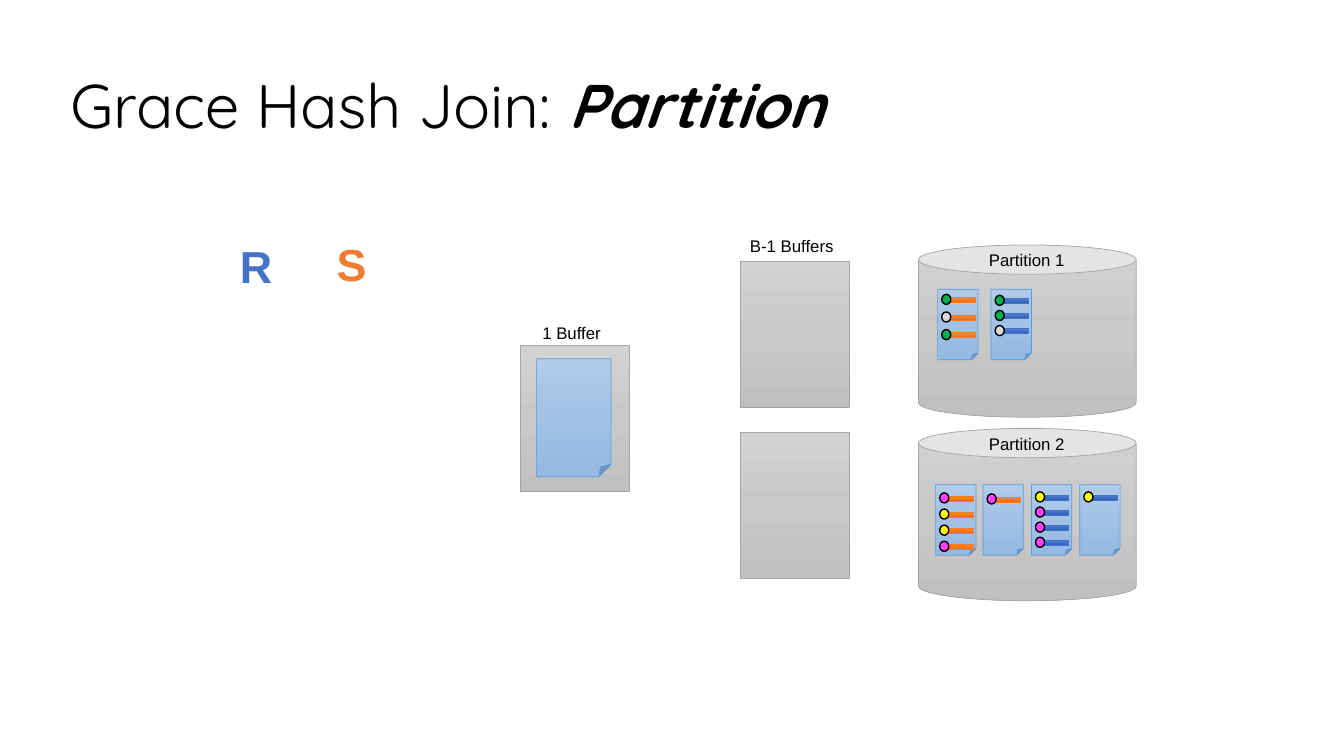
from copy import deepcopy
from dataclasses import dataclass
from typing import Any

from pptx import Presentation, util as u
from pptx.dml import color as dml
from pptx.enum import shapes, text
from pptx.oxml import ns


@dataclass(frozen=True)
class Style:
    stops: tuple[str, str, str]
    line: str


@dataclass(frozen=True)
class Page:
    left: float
    top: float
    first_key: float
    step: float
    relation: Style
    keys: tuple[str, ...]


@dataclass(frozen=True)
class Label:
    wording: str
    left: float
    top: float
    width: float
    height: float = 0.3
    size: int = 12
    color: str = "000000"
    bold: bool = False


GRAY = Style(("D2D2D2", "C8C8C8", "C0C0C0"), "A5A5A5")
PAPER = Style(("B1CBE9", "A3C1E5", "93B9E4"), "5B9BD5")
R = Style(("6183CB", "3E70CA", "3062BB"), "4472C4")
S = Style(("F18C57", "F67B28", "E56C19"), "ED7D31")
MAGENTA, YELLOW, GREEN, SILVER = "FF40FF", "FFFF00", "00B050", "D9D9D9"

BUFFER_SIZE = (1.08, 1.45)
PARTITION_LEFT = 9.11
PARTITION_TOPS = (2.43, 4.25)

PAGES = (
    Page(9.28, 4.81, 4.89, 0.16, S, (MAGENTA, YELLOW, YELLOW, MAGENTA)),
    Page(9.3, 2.87, 2.92, 0.175, S, (GREEN, SILVER, GREEN)),
    Page(9.75, 4.81, 4.9, 0.16, S, (MAGENTA,)),
    Page(10.23, 4.81, 4.88, 0.15, R, (YELLOW, MAGENTA, MAGENTA, MAGENTA)),
    Page(10.71, 4.81, 4.88, 0.15, R, (YELLOW,)),
    Page(9.83, 2.87, 2.93, 0.15, R, (GREEN, GREEN, SILVER)),
)

LABELS = (
    Label("R", 2.28, 2.32, 0.53, 0.64, 32, R.line, True),
    Label("S", 3.24, 2.3, 0.5, 0.64, 32, S.line, True),
    *(Label(f"Partition {number}", 9.71, top, 0.96)
      for number, top in enumerate(PARTITION_TOPS, 1)),
)


def rgb(value: str) -> dml.RGBColor:
    return dml.RGBColor.from_string(value)


def add_shape(parent: Any, kind: Any, left: float, top: float,
              width: float, height: float, line: str, weight: float) -> Any:
    shape = parent.add_shape(kind, u.Inches(left), u.Inches(top),
                             u.Inches(width), u.Inches(height))
    shape.shadow.inherit = False
    shape.line.color.rgb = rgb(line)
    shape.line.width = u.Pt(weight)
    return shape


def add_gradient_shape(parent: Any, kind: Any, left: float, top: float,
                       width: float, height: float, style: Style) -> Any:
    shape = add_shape(parent, kind, left, top, width, height, style.line, 0.5)
    shape.fill.gradient()
    shape.fill.gradient_angle = 270
    stop_list = shape.element.spPr.find(ns.qn("a:gradFill")).find(ns.qn("a:gsLst"))
    stop_list.append(deepcopy(stop_list[0]))
    for index, (stop, value) in enumerate(zip(shape.fill.gradient_stops, style.stops)):
        stop.position = index / 2
        stop.color.rgb = rgb(value)
    return shape


def add_label(parent: Any, label: Label) -> None:
    box = parent.add_textbox(u.Inches(label.left), u.Inches(label.top),
                             u.Inches(label.width), u.Inches(label.height))
    frame = box.text_frame
    frame.text = label.wording
    frame.word_wrap = False
    frame.auto_size = text.MSO_AUTO_SIZE.SHAPE_TO_FIT_TEXT
    font = frame.paragraphs[0].runs[0].font
    font.name = "Arial"
    font.size = u.Pt(label.size)
    font.bold = label.bold
    font.color.rgb = rgb(label.color)


def add_buffers(slide: Any, label: Label, left: float, tops: tuple[float, ...]) -> None:
    group = slide.shapes.add_group_shape()
    for top in tops:
        add_gradient_shape(group.shapes, shapes.MSO_SHAPE.RECTANGLE,
                           left, top, *BUFFER_SIZE, GRAY)
    add_label(group.shapes, label)


def add_page(slide: Any, page: Page) -> None:
    add_gradient_shape(slide.shapes, shapes.MSO_SHAPE.FOLDED_CORNER,
                       page.left, page.top, 0.4, 0.7, PAPER)
    for row, key in enumerate(page.keys):
        top = page.first_key + row * page.step
        record = slide.shapes.add_group_shape()
        add_gradient_shape(record.shapes, shapes.MSO_SHAPE.RECTANGLE,
                           page.left + 0.09, top + 0.03, 0.28, 0.05, page.relation)
        dot = add_shape(record.shapes, shapes.MSO_SHAPE.OVAL,
                        page.left + 0.04, top, 0.09, 0.1, "000000", 1)
        dot.fill.solid()
        dot.fill.fore_color.rgb = rgb(key)


def add_title(slide: Any) -> None:
    box = slide.shapes.add_textbox(u.Inches(0.6), u.Inches(0.35),
                                   u.Inches(11.81), u.Inches(1.45))
    frame = box.text_frame
    frame.word_wrap = True
    frame.vertical_anchor = text.MSO_ANCHOR.MIDDLE
    frame.text = "Grace Hash Join:"
    paragraph = frame.paragraphs[0]
    paragraph.line_spacing = 0.9
    phase = paragraph.add_run()
    phase.text = " Partition"
    phase.font.bold = True
    phase.font.italic = True
    for run in paragraph.runs:
        run.font.name = "Quicksand"
        run.font.size = u.Pt(44)
        run.font.color.rgb = rgb("000000")


def main() -> None:
    presentation = Presentation()
    presentation.slide_width = u.Inches(13.33)
    presentation.slide_height = u.Inches(7.5)
    slide = presentation.slides.add_slide(presentation.slide_layouts[6])

    add_buffers(slide, Label("B-1 Buffers", 7.34, 2.29, 1.04), 7.34, (2.59, 4.29))
    add_buffers(slide, Label("1 Buffer", 5.28, 3.15, 0.79), 5.16, (3.43,))
    for top in PARTITION_TOPS:
        partition = add_gradient_shape(slide.shapes, shapes.MSO_SHAPE.CAN,
                                       PARTITION_LEFT, top, 2.16, 1.71, GRAY)
        partition.adjustments[0] = 0.17
    add_title(slide)
    for label in LABELS:
        add_label(slide.shapes, label)
    add_gradient_shape(slide.shapes, shapes.MSO_SHAPE.FOLDED_CORNER,
                       5.32, 3.56, 0.74, 1.17, PAPER)
    for page in PAGES:
        add_page(slide, page)
    presentation.save("out.pptx")


if __name__ == "__main__":
    main()
